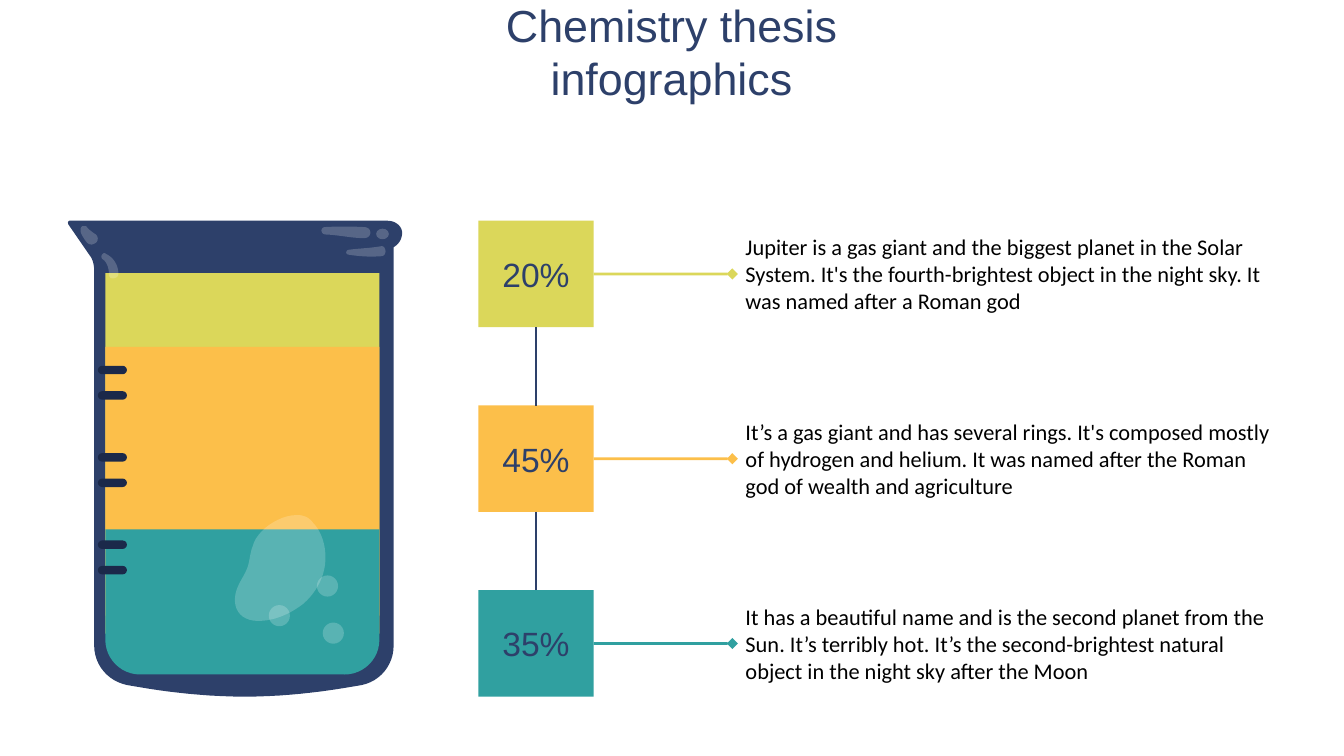
from pptx import Presentation
from pptx.dml.color import RGBColor
from pptx.enum.shapes import MSO_CONNECTOR as CON, MSO_SHAPE as SHP
from pptx.enum.text import MSO_ANCHOR as ANC, PP_ALIGN as AL
from pptx.oxml.ns import qn
from pptx.util import Cm, Pt
from lxml import etree

NAVY, INK, LIME, AMBER, TEAL = "2D406A", "1B294A", "DBD75A", "FCBF4A", "30A0A0"


def paint(sp, color, alpha=None):
    """Flat fill without line or shadow; alpha is opacity in percent."""
    sp.shadow.inherit = False
    sp.fill.solid()
    sp.fill.fore_color.rgb = RGBColor.from_string(color)
    sp.line.fill.background()
    if alpha:
        clr = sp.fill._xPr.find(qn("a:solidFill"))[0]
        etree.SubElement(clr, qn("a:alpha")).set("val", str(alpha * 1000))


def write(sp, text, size, font, color, align, anchor, margins):
    """Margins are left, top, right, bottom in cm."""
    tf = sp.text_frame
    sides = ("margin_left", "margin_top", "margin_right", "margin_bottom")
    frame = dict(zip(sides, map(Cm, margins)), word_wrap=True, vertical_anchor=anchor)
    for name, value in frame.items():
        setattr(tf, name, value)
    p = tf.paragraphs[0]
    p.alignment = align
    r = p.add_run()
    r.text = text
    for name, value in {"size": Pt(size), "name": font}.items():
        setattr(r.font, name, value)
    r.font.color.rgb = RGBColor.from_string(color)


prs = Presentation()
prs.slide_width, prs.slide_height = Cm(25.4), Cm(14.28)
s = prs.slides.add_slide(prs.slide_layouts[6])
shapes = s.shapes

title = shapes.add_textbox(Cm(7.09), Cm(1.14), Cm(11.2), Cm(1.09))
write(title, "Chemistry thesis infographics", 24, "Arial", NAVY, AL.CENTER, ANC.BOTTOM, [0.25] * 4)

# Outlines in cm: a pair is a straight step, six numbers a Bézier curve
beaker = [
    (1.32, 4.17), (1.29, 4.17, 1.27, 4.21, 1.3, 4.25), (1.7, 4.83),
    (1.76, 4.91, 1.78, 5.01, 1.78, 5.12), (1.78, 12.19),
    (1.78, 12.57, 2.05, 12.87, 2.4, 12.94), (2.9, 13.03, 3.7, 13.16, 4.63, 13.16),
    (5.54, 13.16, 6.33, 13.03, 6.84, 12.94), (7.18, 12.87, 7.44, 12.57, 7.44, 12.19),
    (7.44, 4.67), (7.53, 4.62, 7.6, 4.52, 7.6, 4.4), (7.6, 4.27, 7.47, 4.17, 7.32, 4.17),
]
neck_glint = [
    (1.98, 4.78), (1.93, 4.78, 1.88, 4.87, 1.96, 4.91), (2.03, 4.97, 2.06, 5.08, 2.06, 5.18),
    (2.06, 5.23, 2.09, 5.26, 2.13, 5.26), (2.18, 5.26, 2.24, 5.23, 2.24, 5.18),
    (2.24, 5.03, 2.16, 4.87, 2.01, 4.8),
]
spout_glint = [
    (1.6, 4.27), (1.57, 4.27, 1.55, 4.27, 1.54, 4.29), (1.52, 4.3, 1.52, 4.36, 1.53, 4.4),
    (1.55, 4.45, 1.6, 4.53, 1.65, 4.59), (1.68, 4.61, 1.7, 4.62, 1.73, 4.62),
    (1.76, 4.62, 1.8, 4.6, 1.83, 4.57), (1.86, 4.52, 1.86, 4.45, 1.78, 4.41),
    (1.73, 4.37, 1.68, 4.34, 1.65, 4.3), (1.63, 4.27, 1.62, 4.27, 1.6, 4.27),
]
rim_glint = [
    (6.65, 4.28), (6.48, 4.28, 6.3, 4.28, 6.15, 4.29), (6.05, 4.29, 6.05, 4.42, 6.15, 4.43),
    (6.4, 4.44, 6.65, 4.5, 6.88, 4.5), (7.04, 4.5, 7.04, 4.29, 6.88, 4.29),
]
low_glint = [
    (7.21, 4.65), (7, 4.69, 6.8, 4.69, 6.58, 4.72), (6.53, 4.74, 6.53, 4.8, 6.58, 4.81),
    (6.75, 4.84, 7, 4.86, 7.21, 4.84), (7.32, 4.83, 7.3, 4.65, 7.21, 4.65),
]
liquid_glint = [
    (5.61, 9.73), (5.26, 9.73, 4.85, 10.03, 4.78, 10.31), (4.72, 10.46, 4.72, 10.62, 4.67, 10.74),
    (4.62, 10.87, 4.52, 11, 4.47, 11.15), (4.37, 11.46, 4.52, 11.73, 4.88, 11.73),
    (5.21, 11.73, 5.51, 11.58, 5.74, 11.4), (5.99, 11.18, 6.17, 10.85, 6.15, 10.49),
    (6.15, 10.29, 6.07, 10.03, 5.92, 9.88), (5.84, 9.77, 5.74, 9.73, 5.61, 9.73),
]
glints = [neck_glint, spout_glint, rim_glint, low_glint, liquid_glint]
for outline in [beaker] + glints:
    x, y = outline[0]
    fb = shapes.build_freeform(Cm(x), Cm(y))
    points = []
    for step in outline[1:]:
        if len(step) == 2:
            points.append(step)
        else:
            x1, y1, x2, y2, x3, y3 = step
            for t in [i / 12 for i in range(1, 13)]:
                a, b, c, d = (1 - t) ** 3, 3 * t * (1 - t) ** 2, 3 * t * t * (1 - t), t ** 3
                points.append((a * x + b * x1 + c * x2 + d * x3, a * y + b * y1 + c * y2 + d * y3))
        x, y = step[-2:]
    fb.add_line_segments([(Cm(px), Cm(py)) for px, py in points])
    sp = fb.convert_to_shape()
    if outline is beaker:
        paint(sp, NAVY)
        # Liquids overlap, the lowest one in front
        for kind, top, height, color in [
            (SHP.RECTANGLE, 5.16, 6.81, LIME),
            (SHP.RECTANGLE, 6.55, 5.08, AMBER),
            (SHP.ROUND_2_SAME_RECTANGLE, 10, 2.74, TEAL),
        ]:
            sp = shapes.add_shape(kind, Cm(1.99), Cm(top), Cm(5.18), Cm(height))
            sp.rotation = 180
            paint(sp, color)
        sp.adjustments[0] = 0.24
    else:
        paint(sp, "FFFFFF", 20)

for x, y, w, h in [(7.11, 4.32, 0.24, 0.2), (5.08, 11.43, 0.4, 0.4),
                   (5.99, 10.87, 0.4, 0.4), (6.1, 11.76, 0.4, 0.4)]:
    paint(shapes.add_shape(SHP.OVAL, Cm(x), Cm(y), Cm(w), Cm(h)), "FFFFFF", 20)

for pair in range(3):
    for mark in range(2):
        tick = shapes.add_shape(SHP.ROUNDED_RECTANGLE, Cm(1.85),
                                Cm(6.91 + 1.65 * pair + 0.48 * mark), Cm(0.55), Cm(0.16))
        tick.adjustments[0] = 0.5
        paint(tick, INK)

rows = [
    ("20%", LIME, "Jupiter is a gas giant and the biggest planet in the Solar System. It's the "
     "fourth-brightest object in the night sky. It was named after a Roman god"),
    ("45%", AMBER, "It’s a gas giant and has several rings. It's composed mostly of hydrogen and "
     "helium. It was named after the Roman god of wealth and agriculture"),
    ("35%", TEAL, "It has a beautiful name and is the second planet from the Sun. It’s terribly hot. "
     "It’s the second-brightest natural object in the night sky after the Moon"),
]
links = []
above = None
for i, (share, color, text) in enumerate(rows):
    top = 4.17 + 3.49 * i
    box = shapes.add_shape(SHP.RECTANGLE, Cm(9.04), Cm(top), Cm(2.18), Cm(2.01))
    paint(box, color)
    write(box, share, 18, "Arial", NAVY, AL.CENTER, ANC.MIDDLE, [0] * 4)
    note = shapes.add_textbox(Cm(13.84), Cm(top + 0.16), Cm(10.29), Cm(1.69))
    write(note, text, 12, "Calibri", "000000", AL.LEFT, ANC.MIDDLE, [0.25, 0, 0, 0])
    links.append((note, 1, box, 3, color))
    if above:
        links.append((above, 2, box, 0, NAVY))
    above = box

for start, start_side, end, end_side, color in links:
    cx = shapes.add_connector(CON.STRAIGHT, 0, 0, 0, 0)
    cx.begin_connect(start, start_side)
    cx.end_connect(end, end_side)
    cx.line.width = Pt(1.5)
    cx.line.color.rgb = RGBColor.from_string(color)
    if color != NAVY:
        etree.SubElement(cx.line._get_or_add_ln(), qn("a:headEnd")).set("type", "diamond")
    etree.SubElement(cx._element.spPr, qn("a:effectLst"))

prs.save("out.pptx")
